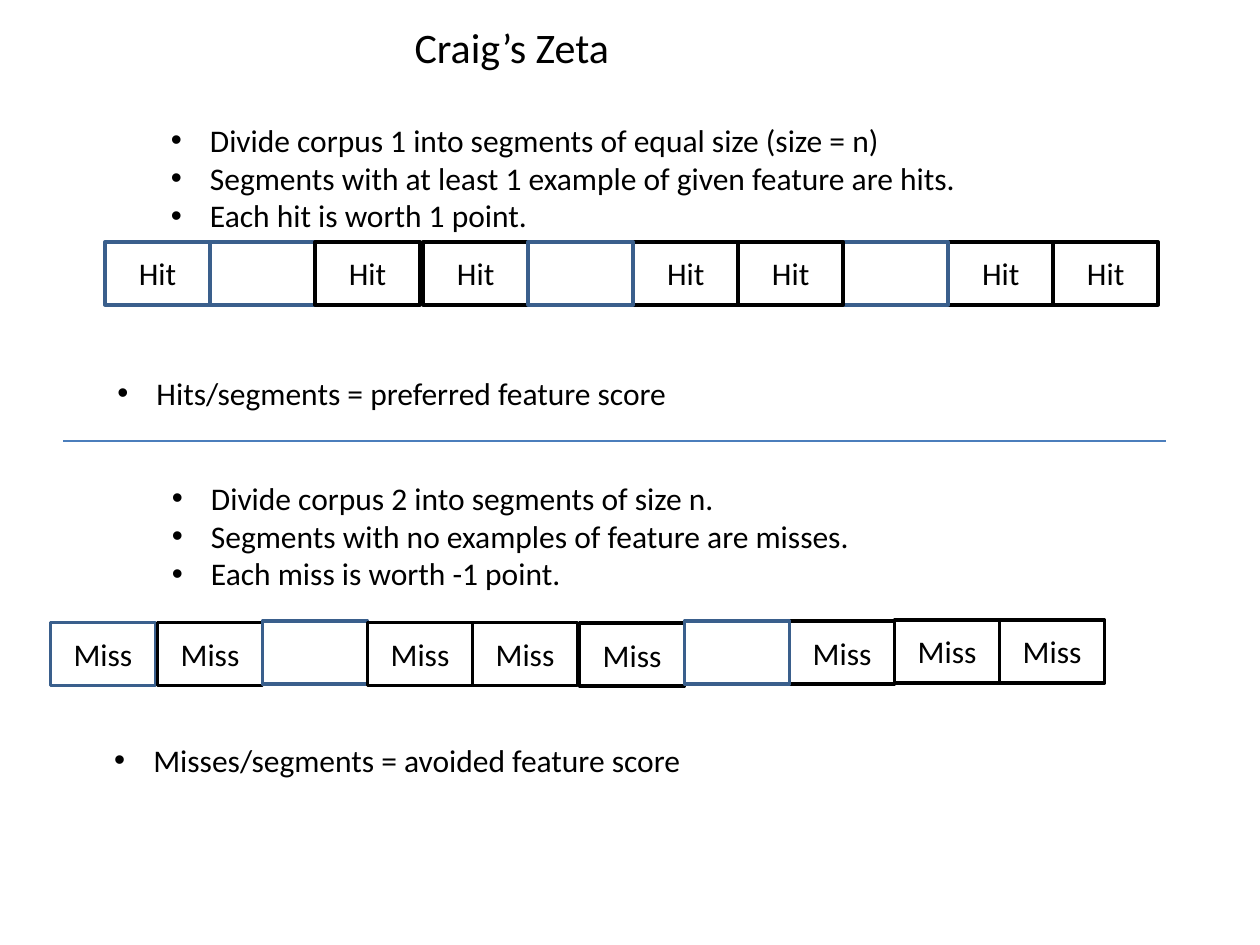
from pptx import Presentation
from pptx.dml.color import RGBColor
from pptx.enum.shapes import MSO_CONNECTOR, MSO_SHAPE
from pptx.enum.text import MSO_ANCHOR, MSO_AUTO_SIZE, PP_ALIGN
from pptx.oxml.ns import qn
from pptx.util import Inches, Pt
from lxml import etree

RECTANGLE = MSO_SHAPE.RECTANGLE
STRAIGHT = MSO_CONNECTOR.STRAIGHT
MIDDLE = MSO_ANCHOR.MIDDLE
FIT_SHAPE = MSO_AUTO_SIZE.SHAPE_TO_FIT_TEXT
CENTER = PP_ALIGN.CENTER
COLUMNS, ROWS = 12, 15


def color(value):
    return RGBColor.from_string(value)


class SlideBuilder:
    font_name = "Calibri"
    black = "000000"
    white = "FFFFFF"
    blue = "3A5F8C"
    rule_blue = "4B7EBC"

    def __init__(self, presentation):
        self.column = presentation.slide_width / COLUMNS
        self.row = presentation.slide_height / ROWS
        self.slide = presentation.slides.add_slide(presentation.slide_layouts[6])

    def place(self, left, top, width, height):
        return (round(left * self.column), round(top * self.row),
                round(width * self.column), round(height * self.row))

    def add_text_run(self, paragraph, text, size):
        run = paragraph.add_run()
        run.text = text
        run.font.name = self.font_name
        run.font.size = Pt(size)
        run.font.color.rgb = color(self.black)

    def add_bullet(self, paragraph):
        properties = paragraph._p.get_or_add_pPr()
        properties.set("marL", str(Inches(0.31)))
        properties.set("indent", str(-Inches(0.31)))
        etree.SubElement(properties, qn("a:buFont"), typeface="Arial")
        etree.SubElement(properties, qn("a:buChar"), char="•")

    def text(self, box, lines, size=18, bulleted=True):
        shape = self.slide.shapes.add_textbox(*self.place(*box))
        frame = shape.text_frame
        frame.word_wrap = True
        frame.auto_size = FIT_SHAPE
        for index, line in enumerate(lines):
            paragraph = frame.add_paragraph() if index else frame.paragraphs[0]
            if bulleted:
                self.add_bullet(paragraph)
            self.add_text_run(paragraph, line, size)

    def segment(self, shapes, left, top, label, line_color):
        shape = shapes.add_shape(RECTANGLE, *self.place(left, top, 1, 1))
        shape.shadow.inherit = False
        shape.fill.solid()
        shape.fill.fore_color.rgb = color(self.white)
        shape.line.color.rgb = color(line_color)
        shape.line.width = Pt(2)
        if label:
            shape.text_frame.vertical_anchor = MIDDLE
            paragraph = shape.text_frame.paragraphs[0]
            paragraph.alignment = CENTER
            self.add_text_run(paragraph, label, 18)

    def segments(self, shapes, label, left, tops, order, empty, gaps):
        for index in order:
            offset = sum(gap for start, gap in gaps.items() if index >= start)
            line_color = self.blue if index == 0 or index in empty else self.black
            self.segment(shapes, left + index + offset, tops[index],
                         "" if index in empty else label, line_color)

    def divider(self, left, right, top):
        begin_x, y, width, _ = self.place(left, top, right - left, 0)
        line = self.slide.shapes.add_connector(STRAIGHT, begin_x, y, begin_x + width, y)
        line.line.color.rgb = color(self.rule_blue)
        line.line.width = Pt(1.5)
        etree.SubElement(line._element.spPr, qn("a:effectLst"))


def main():
    presentation = Presentation()
    presentation.slide_width = Inches(10)
    presentation.slide_height = Inches(7.5)
    builder = SlideBuilder(presentation)
    shapes = builder.slide.shapes

    builder.text((3.83, 0.24, 7.4, 1), ["Craig’s Zeta"], size=24, bulleted=False)

    builder.segments(shapes, "Hit", left=1, tops=[3.84] * 10,
                     order=(0, 5, 1, 2, 3, 4, 8, 7, 6, 9),
                     empty={1, 4, 7}, gaps={3: 0.03})
    builder.text((1.51, 1.82, 8.57, 2.02), [
        "Divide corpus 1 into segments of equal size (size = n)",
        "Segments with at least 1 example of given feature are hits.",
        "Each hit is worth 1 point.",
    ])
    builder.text((1, 5.84, 9.54, 0.8), ["Hits/segments = preferred feature score"])

    miss_group = shapes.add_group_shape()
    builder.segments(miss_group.shapes, "Miss", left=0.48,
                     tops=[9.88, 9.88, 9.86, 9.88, 9.88, 9.89, 9.86, 9.86, 9.84, 9.84],
                     order=(0, 7, 5, 4, 1, 2, 9, 3, 8, 6),
                     empty={2, 6}, gaps={1: 0.02, 5: 0.02})
    builder.text((1.52, 7.5, 7.7, 2.02), [
        "Divide corpus 2 into segments of size n.",
        "Segments with no examples of feature are misses.",
        "Each miss is worth -1 point.",
    ])
    builder.divider(0.6, 11.1, 7)
    builder.text((0.97, 11.66, 9.4, 0.84), ["Misses/segments = avoided feature score"])

    presentation.save("out.pptx")


if __name__ == "__main__":
    main()
